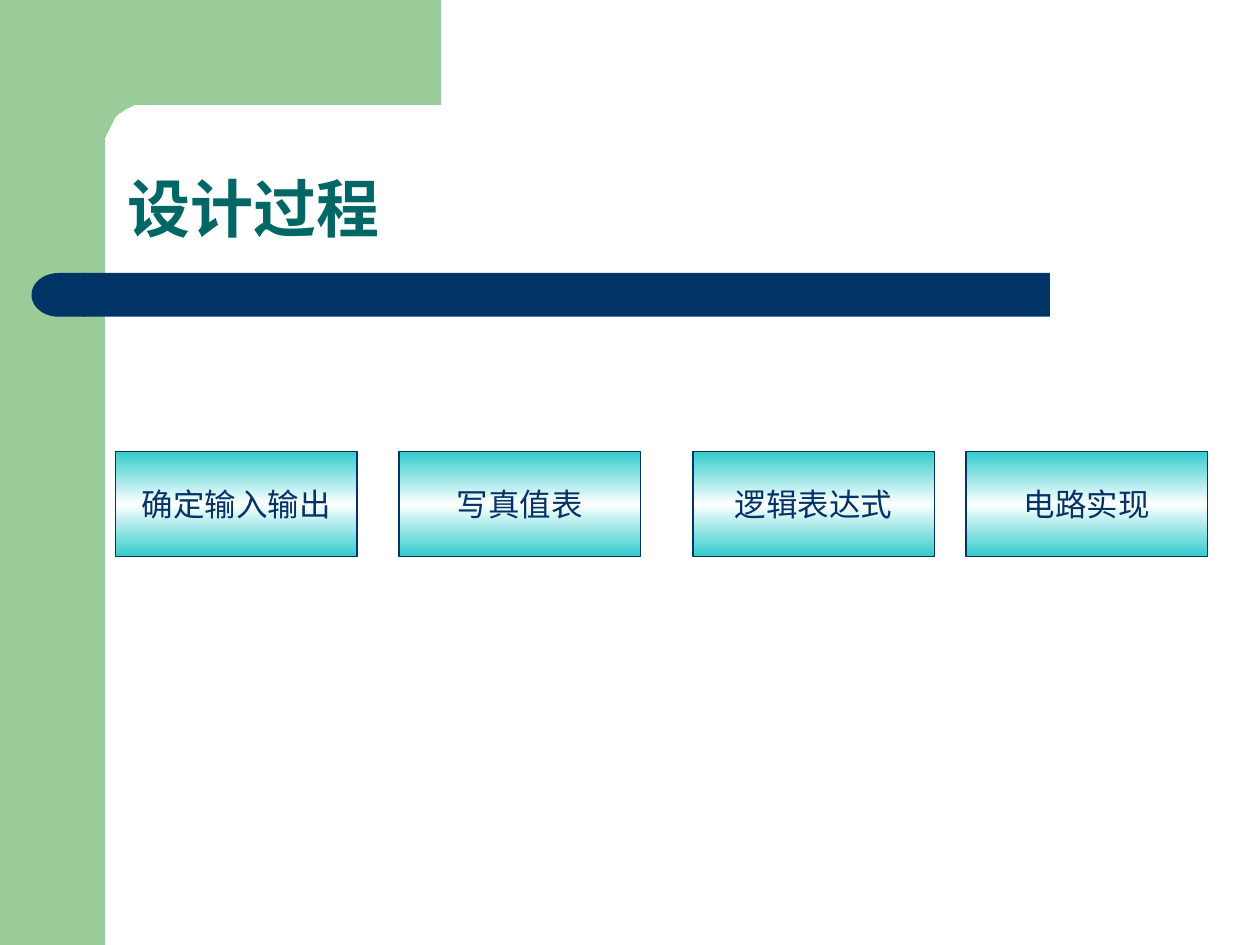
from copy import deepcopy
from math import cos, pi, sin

from pptx import Presentation
from pptx.dml.color import RGBColor
from pptx.enum import shapes as es, text as et
from pptx.oxml.ns import qn
from pptx.util import Pt

KIND = es.MSO_SHAPE
GREEN, NAVY, TEAL, CYAN, WHITE = "99CC99", "003366", "006666", "33CCCC", "FFFFFF"


def rgb(code):
    return RGBColor.from_string(code)


def paint(shape, code):
    shape.shadow.inherit = False
    shape.fill.solid()
    shape.fill.fore_color.rgb = rgb(code)
    shape.line.fill.background()


def block(slide, kind, box, code):
    shape = slide.shapes.add_shape(kind, *map(Pt, box))
    paint(shape, code)
    return shape


def style(para, size, code, align, bold=False):
    para.alignment = align
    font = para.font
    font.name, font.size, font.bold = "Arial", Pt(size), bold
    font.color.rgb = rgb(code)


def add_frame(slide, x, y, wide, high):
    side, top = 60, 60
    block(slide, KIND.RECTANGLE, (x, y, side, high), GREEN)
    rx, ry, steps = 21.5, 24, 16
    turns = [pi / 2 * i / steps for i in range(steps + 1)]
    curve = [(x + side + rx * (1 - sin(t)), y + top + ry * (1 - cos(t)))
             for t in turns]
    end = y + top + 32
    points = [(x + wide, y + top), *curve, (x + side, end),
              (x + 36, end), (x + 36, y)]
    pen = slide.shapes.build_freeform(x + wide, y, scale=Pt(1))
    pen.add_line_segments(points, close=True)
    paint(pen.convert_to_shape(), GREEN)


def add_bar(slide, x, y, wide, high):
    cap = 31
    block(slide, KIND.RECTANGLE, (x + cap - 1, y, wide - cap + 1, high), NAVY)
    block(slide, KIND.FLOWCHART_DELAY, (x, y, cap, high), NAVY).rotation = 180


def add_title(slide, words, x, y, wide, high):
    title = slide.shapes.title
    title.left, title.top, title.width, title.height = map(Pt, (x, y, wide, high))
    frame = title.text_frame
    frame.text = words
    frame.auto_size = et.MSO_AUTO_SIZE.NONE
    frame.vertical_anchor = et.MSO_ANCHOR.BOTTOM
    para = frame.paragraphs[0]
    para.line_spacing = 0.9
    style(para, 36, TEAL, et.PP_ALIGN.LEFT, True)


def shade(shape):
    fill = shape.fill
    fill.gradient()
    fill.gradient_angle = 90
    stops = shape._element.spPr.find(qn("a:gradFill")).find(qn("a:gsLst"))
    stops.insert(1, deepcopy(stops[0]))
    for stop, (spot, code) in zip(fill.gradient_stops,
                                  [(0, CYAN), (0.5, WHITE), (1, CYAN)]):
        stop.position = spot
        stop.color.rgb = rgb(code)


def add_steps(slide, steps, x, y, wide, high):
    for words, shift in steps:
        step = block(slide, KIND.RECTANGLE, (x + shift, y, wide, high), CYAN)
        shade(step)
        step.line.color.rgb = rgb(NAVY)
        step.line.width = Pt(0.75)
        frame = step.text_frame
        frame.text = words
        frame.word_wrap = False
        frame.vertical_anchor = et.MSO_ANCHOR.MIDDLE
        style(frame.paragraphs[0], 18, NAVY, et.PP_ALIGN.CENTER)


def main():
    deck = Presentation()
    deck.slide_width, deck.slide_height = Pt(720), Pt(540)
    slide = deck.slides.add_slide(deck.slide_layouts[5])
    add_frame(slide, 0, 0, 252, 540)
    add_bar(slide, 18, 156, 582, 25)
    add_title(slide, "设计过程", 65.5, 65.5, 613, 78.5)
    steps = [("确定输入输出", 0), ("写真值表", 162),
             ("逻辑表达式", 330), ("电路实现", 486)]
    add_steps(slide, steps, 66, 258, 138, 60)
    deck.save("out.pptx")


if __name__ == "__main__":
    main()
